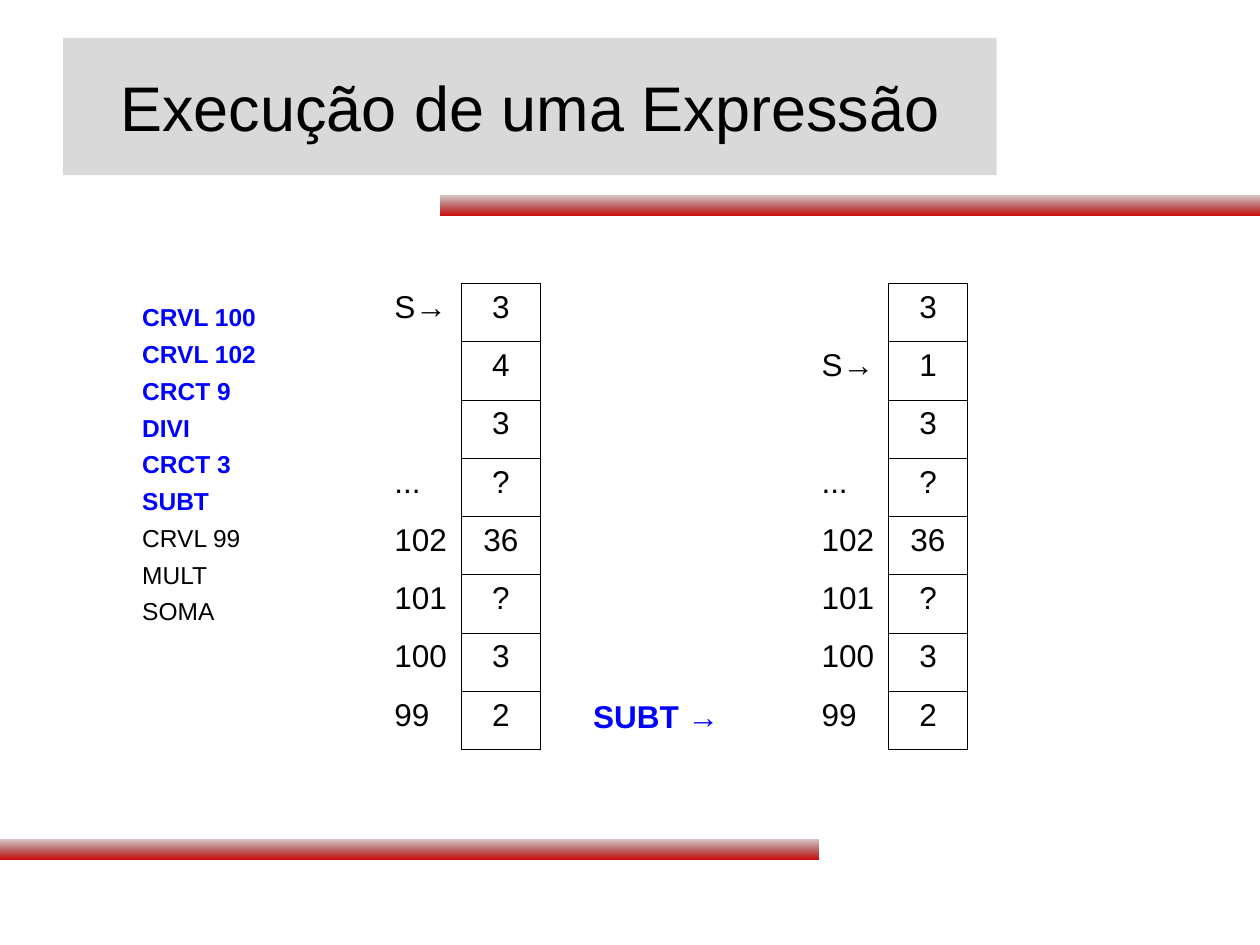
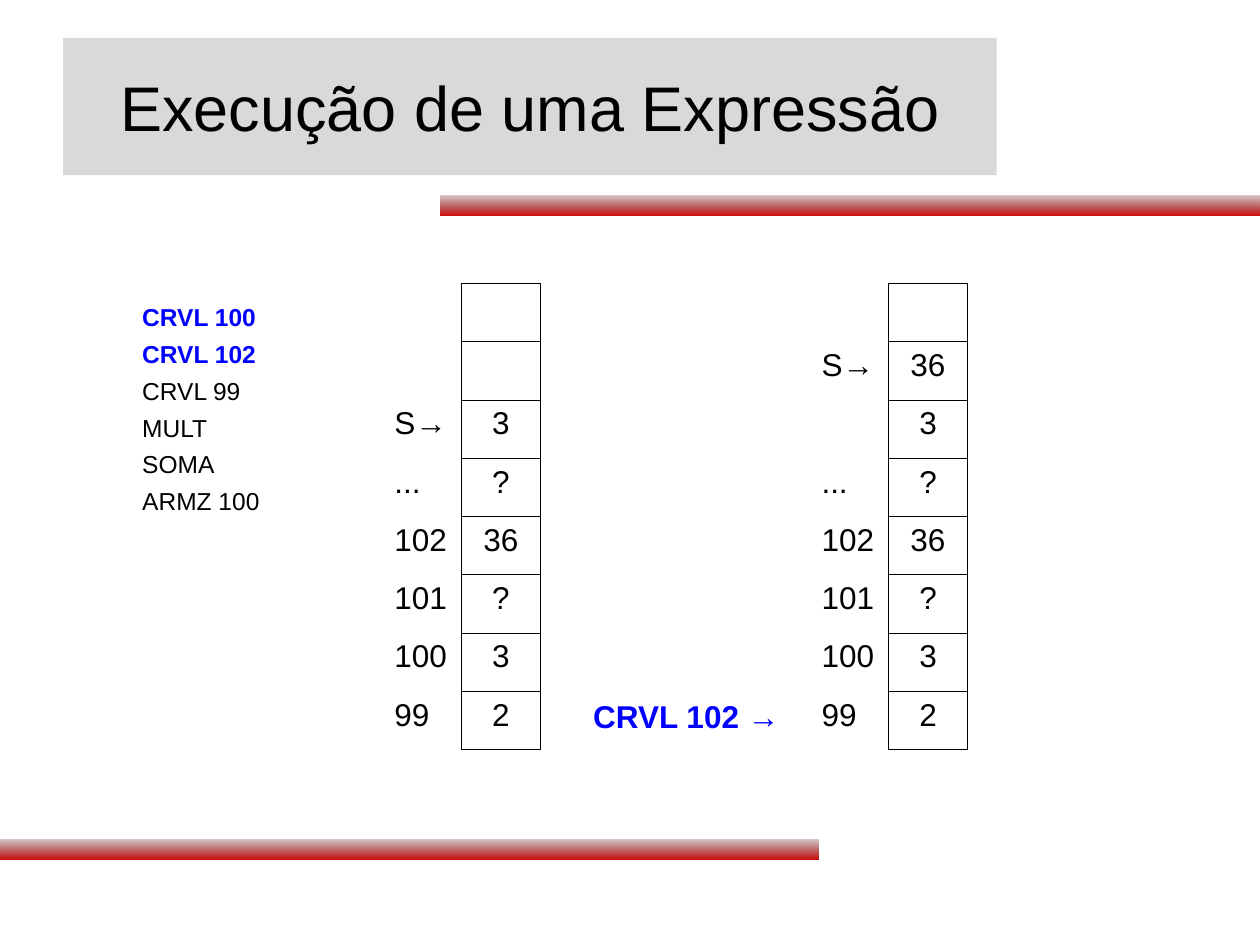
from dataclasses import dataclass

from lxml.etree import SubElement
from pptx import Presentation
from pptx.dml.color import RGBColor
from pptx.enum.shapes import MSO_SHAPE
from pptx.enum.text import MSO_ANCHOR, PP_ALIGN
from pptx.oxml.ns import qn
from pptx.util import Inches, Pt

# Shared look
FONT = "Arial"
BLACK = RGBColor(0x00, 0x00, 0x00)
BLUE = RGBColor(0x00, 0x00, 0xFF)
TITLE_GRAY = RGBColor(0xD9, 0xD9, 0xD9)
DARK_RED = RGBColor(0x5E, 0x00, 0x00)
RED = RGBColor(0xCC, 0x00, 0x00)
PLAIN_TABLE_STYLE = "{2D5ABB26-0587-4C30-8999-92F81FD0307C}"

TITLE = "Execução de uma Expressão"
TITLE_FORMAT = {"size": Pt(36), "bold": False}
CODE_FORMAT = {"size": Pt(14), "bold": False}
EXECUTED_FORMAT = {"size": Pt(14), "bold": True}
MEMORY_FORMAT = {"size": Pt(18), "bold": False}
STEP_FORMAT = {"size": Pt(18), "bold": True}

# Memory grid: free stack cells above the fixed addresses
FIXED_CELLS = (("...", "?"), ("102", "36"), ("101", "?"), ("100", "3"), ("99", "2"))
STACK_SIZE = 3
COLUMN_WIDTH = 0.63
MEMORY_TOP, MEMORY_HEIGHT = 2.25, 3.7
BEFORE_LEFT, AFTER_LEFT = 3.03, 6.42


@dataclass(frozen=True)
class Box:
    left: float
    top: float
    width: float
    height: float

    def lengths(self) -> list:
        return [Inches(n) for n in (self.left, self.top, self.width, self.height)]


@dataclass(frozen=True)
class ExecutionStep:
    program: tuple
    executed: int  # number of instructions already run
    before: tuple  # stack values, bottom to top
    after: tuple


BANDS = (Box(0, 6.66, 6.5, 0.16), Box(3.5, 1.55, 6.5, 0.16))
TITLE_BOX = Box(0.5, 0.3, 7.41, 1.09)
PROGRAM_BOX = Box(0.59, 2.33, 1.73, 2.68)
STEP_BOX = Box(4.61, 5.48, 1.73, 0.47)

STEPS = (
    ExecutionStep(
        ("CRVL 100", "CRVL 102", "CRCT 9", "DIVI", "CRCT 3", "SUBT",
         "CRVL 99", "MULT", "SOMA"),
        6, ("3", "4", "3"), ("3", "1")),
    ExecutionStep(
        ("CRVL 100", "CRVL 102", "CRVL 99", "MULT", "SOMA", "ARMZ 100"),
        2, ("3",), ("3", "36")),
)
# Values left above the top of the stack after an instruction
LEFTOVERS = {"SUBT": ("3",)}


def add_run(paragraph, text: str, font_format: dict, color: RGBColor = BLACK) -> None:
    run = paragraph.add_run()
    run.text = text
    for attribute, value in {"name": FONT, **font_format}.items():
        setattr(run.font, attribute, value)
    run.font.color.rgb = color


def add_text_frame(slide, box: Box, **settings):
    shape = slide.shapes.add_textbox(*box.lengths())
    for attribute, value in {"word_wrap": True, **settings}.items():
        setattr(shape.text_frame, attribute, value)
    return shape


def add_band(slide, box: Box) -> None:
    band = slide.shapes.add_shape(MSO_SHAPE.RECTANGLE, *box.lengths())
    band.shadow.inherit = False
    band.line.fill.background()
    band.fill.gradient()
    band.fill.gradient_angle = 270
    for stop, color in zip(band.fill.gradient_stops, (DARK_RED, RED)):
        stop.color.rgb = color
    first_color = next(band.fill._xPr.iter(qn("a:srgbClr")))
    SubElement(first_color, qn("a:alpha"), val="21000")


def add_title(slide) -> None:
    title = add_text_frame(slide, TITLE_BOX, vertical_anchor=MSO_ANCHOR.MIDDLE)
    title.fill.solid()
    title.fill.fore_color.rgb = TITLE_GRAY
    paragraph = title.text_frame.paragraphs[0]
    paragraph.alignment = PP_ALIGN.CENTER
    add_run(paragraph, TITLE, TITLE_FORMAT)


def add_program(slide, step: ExecutionStep) -> None:
    frame = add_text_frame(slide, PROGRAM_BOX, margin_top=Inches(0.07)).text_frame
    for index, instruction in enumerate(step.program):
        paragraph = frame.add_paragraph() if index else frame.paragraphs[0]
        if index:
            paragraph.space_before = Pt(4.2)
        paragraph._p.get_or_add_pPr().set("marL", str(Inches(0.44)))
        if index < step.executed:
            add_run(paragraph, instruction, EXECUTED_FORMAT, BLUE)
        else:
            add_run(paragraph, instruction, CODE_FORMAT)


def add_borders(cell) -> None:
    properties = cell._tc.get_or_add_tcPr()
    for position, side in enumerate(("a:lnL", "a:lnR", "a:lnT", "a:lnB")):
        line = properties.makeelement(qn(side), {"w": str(Pt(0.45))})
        fill = SubElement(line, qn("a:solidFill"))
        SubElement(fill, qn("a:srgbClr"), val=str(BLACK))
        properties.insert(position, line)


def memory_rows(stack: tuple, leftovers: tuple = ()) -> list:
    values = (*stack, *leftovers)
    rows = []
    for level in reversed(range(STACK_SIZE)):
        label = "S→" if level == len(stack) - 1 else ""
        rows.append((label, values[level] if level < len(values) else ""))
    return rows + list(FIXED_CELLS)


def add_memory(slide, left: float, rows: list) -> None:
    box = Box(left, MEMORY_TOP, 2 * COLUMN_WIDTH, MEMORY_HEIGHT)
    table = slide.shapes.add_table(len(rows), 2, *box.lengths()).table
    table.first_row = table.horz_banding = False
    table._tbl.tblPr.find(qn("a:tableStyleId")).text = PLAIN_TABLE_STYLE
    for row, texts in zip(table.rows, rows):
        row.height = Inches(MEMORY_HEIGHT / len(rows))
        label, value = row.cells
        for cell, text in zip((label, value), texts):
            cell.fill.background()
            if text:
                add_run(cell.text_frame.paragraphs[0], text, MEMORY_FORMAT)
        value.text_frame.paragraphs[0].alignment = PP_ALIGN.CENTER
        add_borders(value)


def add_step_slide(presentation, step: ExecutionStep) -> None:
    slide = presentation.slides.add_slide(presentation.slide_layouts[6])
    for band in BANDS:
        add_band(slide, band)
    add_program(slide, step)
    add_title(slide)

    # Memory before and after the current instruction
    current = step.program[step.executed - 1]
    add_memory(slide, BEFORE_LEFT, memory_rows(step.before))
    add_memory(slide, AFTER_LEFT, memory_rows(step.after, LEFTOVERS.get(current, ())))
    frame = add_text_frame(slide, STEP_BOX).text_frame
    add_run(frame.paragraphs[0], f"{current} →", STEP_FORMAT, BLUE)


def main() -> None:
    presentation = Presentation()
    presentation.slide_width = Inches(10)
    presentation.slide_height = Inches(7.5)
    for step in STEPS:
        add_step_slide(presentation, step)
    presentation.save("out.pptx")


if __name__ == "__main__":
    main()
